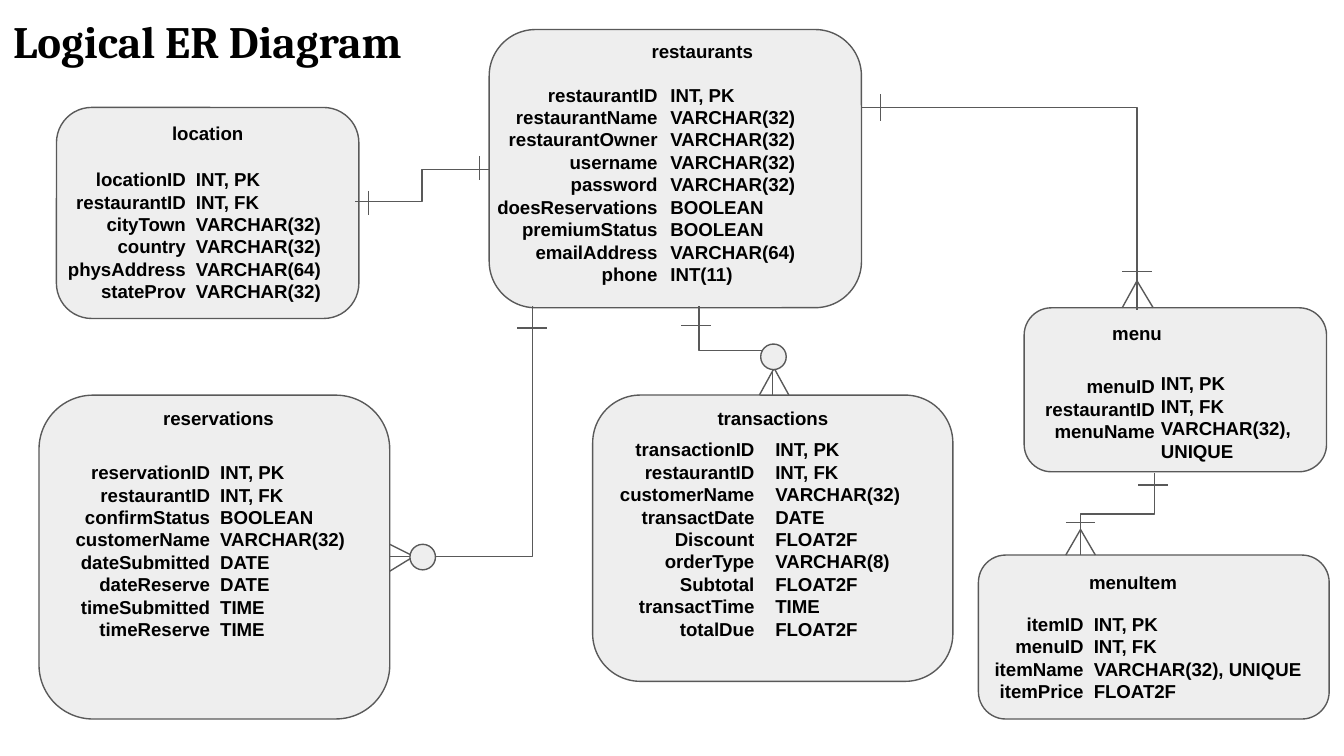
from pptx import Presentation
from pptx import util as u
from pptx.dml.color import RGBColor
from pptx.enum import shapes, text
from pptx.oxml.ns import qn
from lxml import etree

INK, FILL, LINE = "000000", "EEEEEE", "595959"

# Each entity: name, box, name label box, two column boxes (left, top, width, height), fields
ENTITIES = [
    ("restaurants", (3.64, 0.22, 2.77, 2.07), (3.64, 0.21, 3.17, 0.22),
     (3.45, 0.52, 1.54, 1.69), (4.89, 0.52, 1.49, 1.69),
     [("restaurantID", "INT, PK"), ("restaurantName", "VARCHAR(32)"),
      ("restaurantOwner", "VARCHAR(32)"), ("username", "VARCHAR(32)"),
      ("password", "VARCHAR(32)"), ("doesReservations", "BOOLEAN"),
      ("premiumStatus", "BOOLEAN"), ("emailAddress", "VARCHAR(64)"),
      ("phone", "INT(11)")]),
    ("location", (0.42, 0.8, 2.25, 1.57), (0.42, 0.82, 2.25, 0.23),
     (0.37, 1.15, 1.11, 0.92), (1.36, 1.15, 1.31, 1.22),
     [("locationID", "INT, PK"), ("restaurantID", "INT, FK"),
      ("cityTown", "VARCHAR(32)"), ("country", "VARCHAR(32)"),
      ("physAddress", "VARCHAR(64)"), ("stateProv", "VARCHAR(32)")]),
    ("reservations", (0.29, 2.94, 2.61, 2.41), (0.32, 2.94, 2.61, 0.22),
     (0.17, 3.33, 1.49, 1.48), (1.54, 3.33, 1.19, 1.48),
     [("reservationID", "INT, PK"), ("restaurantID", "INT, FK"),
      ("confirmStatus", "BOOLEAN"), ("customerName", "VARCHAR(32)"),
      ("dateSubmitted", "DATE"), ("dateReserve", "DATE"),
      ("timeSubmitted", "TIME"), ("timeReserve", "TIME")]),
    ("transactions", (4.41, 2.94, 2.68, 2.13), (4.41, 2.94, 2.68, 0.28),
     (4.29, 3.16, 1.42, 1.84), (5.67, 3.16, 1.31, 1.77),
     [("transactionID", "INT, PK"), ("restaurantID", "INT, FK"),
      ("customerName", "VARCHAR(32)"), ("transactDate", "DATE"),
      ("Discount", "FLOAT2F"), ("orderType", "VARCHAR(8)"),
      ("Subtotal", "FLOAT2F"), ("transactTime", "TIME"),
      ("totalDue", "FLOAT2F")]),
    ("menu", (7.62, 2.29, 2.25, 1.22), (7.44, 2.31, 2.04, 0.22),
     (7.45, 2.69, 1.24, 1.22), (8.54, 2.67, 1.24, 0.74),
     [("menuID", "INT, PK"), ("restaurantID", "INT, FK"),
      ("menuName", "VARCHAR(32), UNIQUE")]),
    ("menuItem", (7.28, 4.13, 2.61, 1.22), (7.41, 4.16, 2.04, 0.28),
     (7.16, 4.46, 1, 0.82), (8.04, 4.46, 1.83, 0.82),
     [("itemID", "INT, PK"), ("menuID", "INT, FK"),
      ("itemName", "VARCHAR(32), UNIQUE"), ("itemPrice", "FLOAT2F")]),
]

# Relations: start, end, preset, whether the first leg is vertical
RELATIONS = [
    ((3.64, 1.26), (2.64, 1.5), "bentConnector3", False),
    ((3.96, 2.28), (2.9, 4.14), "bentConnector2", True),
    ((6.41, 0.8), (8.46, 2.31), "bentConnector2", False),
    ((5.2, 2.28), (5.75, 2.94), "bentConnector3", True),
    ((8.59, 3.52), (8.04, 4.13), "bentConnector3", True),
]

# "One" bars: centre and half extents
BARS = [
    (2.74, 1.51, 0, 0.09), (3.57, 1.25, 0, 0.09), (6.55, 0.8, 0, 0.1),
    (3.96, 2.44, 0.11, 0), (5.18, 2.42, 0.11, 0), (8.58, 3.61, 0.11, 0),
    (8.04, 3.89, 0.11, 0), (8.46, 2.02, 0.11, 0),
]

# "Many" feet: apex, then the two toes
FEET = [
    ((3.08, 4.14), (2.9, 4.05), (2.9, 4.25)),
    ((5.76, 2.74), (5.65, 2.94), (5.87, 2.94)),
    ((8.04, 3.94), (7.93, 4.13), (8.15, 4.13)),
    ((8.46, 2.09), (8.35, 2.29), (8.58, 2.29)),
]

# "Zero" rings: left and top
RINGS = [(3.05, 4.05), (5.66, 2.56)]


def color(value):
    return RGBColor.from_string(value)


def inches(values):
    return [u.Inches(value) for value in values]


def add_text(slide, box, lines, align=text.PP_ALIGN.LEFT, font="Arial", size=10):
    frame = slide.shapes.add_textbox(*inches(box)).text_frame
    frame.word_wrap = True
    frame.margin_top = frame.margin_bottom = u.Inches(0.1)
    frame.text = "\n".join(lines)
    for paragraph in frame.paragraphs:
        paragraph.alignment = align
        paragraph.font.name = font
        paragraph.font.size = u.Pt(size)
        paragraph.font.bold = True
        paragraph.font.color.rgb = color(INK)


def add_outlined(slide, kind, box):
    shape = slide.shapes.add_shape(kind, *inches(box))
    shape.shadow.inherit = False
    shape.fill.solid()
    shape.fill.fore_color.rgb = color(FILL)
    shape.line.color.rgb = color(LINE)
    shape.line.width = u.Pt(0.75)


def add_line(slide, start, end, kind=shapes.MSO_CONNECTOR.STRAIGHT):
    connector = slide.shapes.add_connector(kind, *inches(start + end))
    connector.line.color.rgb = color(LINE)
    connector.line.width = u.Pt(0.75)
    etree.SubElement(connector._element.spPr, qn("a:effectLst"))
    return connector


def add_relation(slide, start, end, preset, vertical):
    if vertical:
        # Lay the route on its side about its centre, then turn it by 90 degrees
        x, y = (start[0] + end[0]) / 2, (start[1] + end[1]) / 2
        dx, dy = (end[0] - start[0]) / 2, (end[1] - start[1]) / 2
        start, end = (x - dy, y + dx), (x + dy, y - dx)
    connector = add_line(slide, start, end, shapes.MSO_CONNECTOR.ELBOW)
    properties = connector._element.spPr
    properties.find(qn("a:prstGeom")).set("prst", preset)
    if vertical:
        properties.find(qn("a:xfrm")).set("rot", str(90 * 60000))


def add_entity(slide, name, box, label_box, names_box, types_box, fields):
    names, types = zip(*fields)
    add_outlined(slide, shapes.MSO_SHAPE.FLOWCHART_ALTERNATE_PROCESS, box)
    add_text(slide, label_box, [name], text.PP_ALIGN.CENTER)
    add_text(slide, names_box, names, text.PP_ALIGN.RIGHT)
    add_text(slide, types_box, types)


def main():
    # Widescreen slide, 16:9
    presentation = Presentation()
    presentation.slide_width = u.Inches(10)
    presentation.slide_height = u.Inches(10) * 9 // 16
    slide = presentation.slides.add_slide(presentation.slide_layouts[6])

    # Title and entities
    add_text(slide, (0, 0, 3.21, 0.63), ["Logical ER Diagram"], font="Cambria", size=24)
    for entity in ENTITIES:
        add_entity(slide, *entity)

    # Relations and their cardinality marks
    for relation in RELATIONS:
        add_relation(slide, *relation)
    for x, y, dx, dy in BARS:
        add_line(slide, (x - dx, y - dy), (x + dx, y + dy))
    for apex, *toes in FEET:
        for toe in toes:
            add_line(slide, apex, toe)
    for left, top in RINGS:
        add_outlined(slide, shapes.MSO_SHAPE.OVAL, (left, top, 0.19, 0.19))

    presentation.save("out.pptx")


main()
